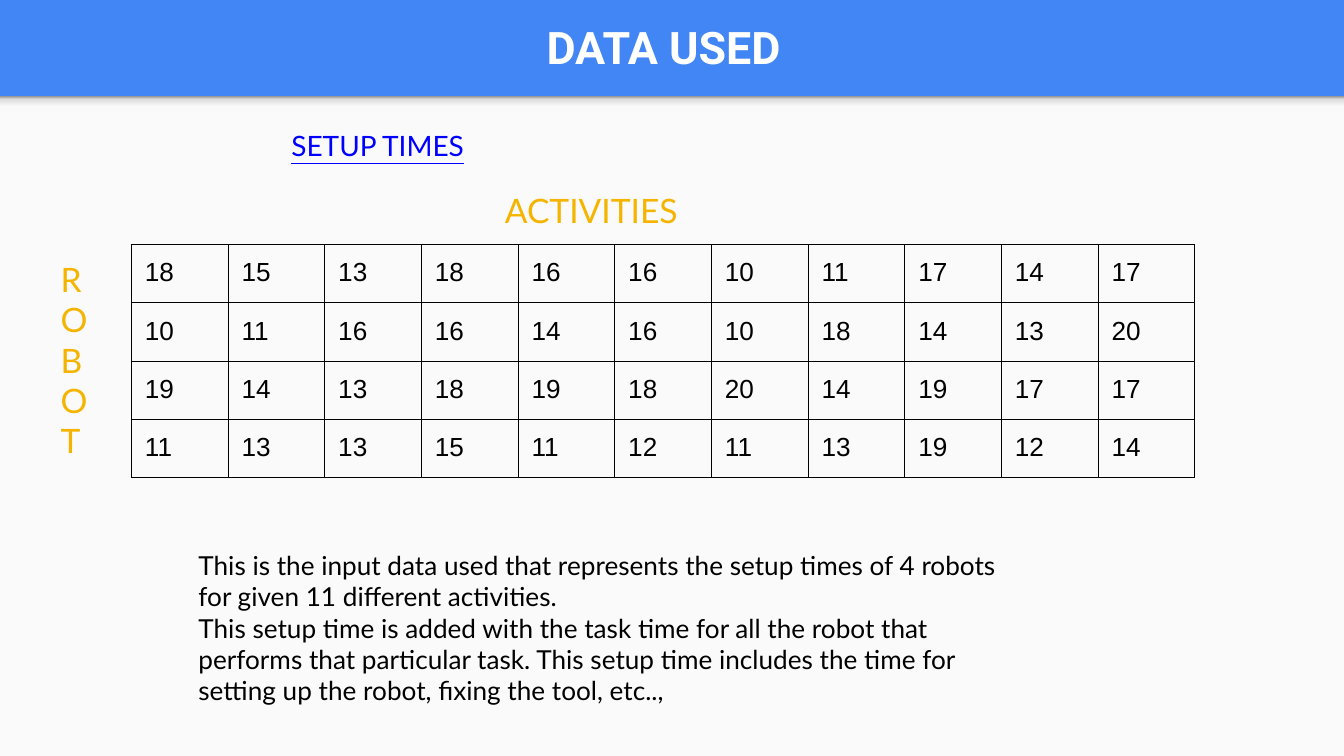
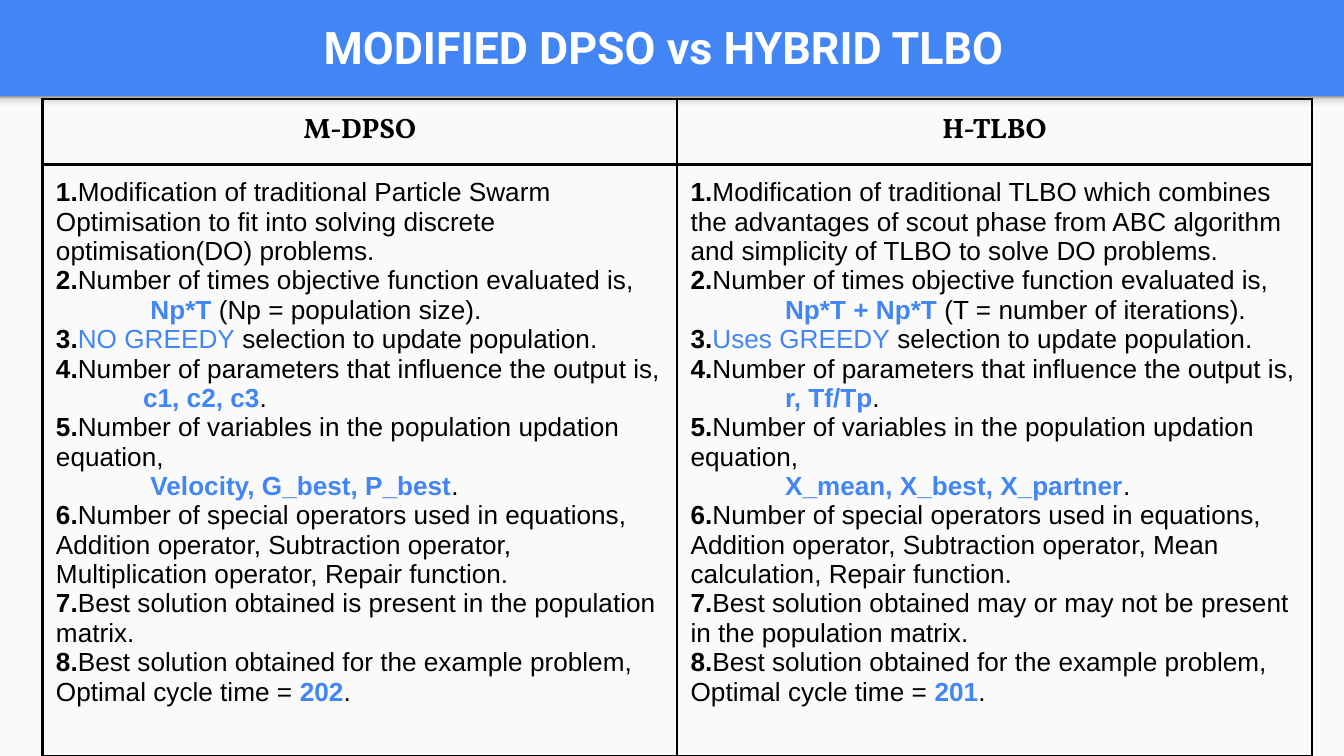
from dataclasses import dataclass

from lxml.etree import SubElement
from pptx import Presentation
from pptx.dml.color import RGBColor
from pptx.enum.shapes import MSO_SHAPE
from pptx.enum.text import MSO_ANCHOR, PP_ALIGN
from pptx.oxml.ns import qn
from pptx.util import Pt


@dataclass(frozen=True)
class Theme:
    blue: str = "4285F4"
    panel: str = "FAFAFA"
    black: str = "000000"
    white: str = "FFFFFF"
    link: str = "0000FF"
    amber: str = "F4B400"
    shade: tuple = ((0, "F9F9F9"), (36, "F9F9F9"), (80, "DEDEDE"), (100, "999999"))
    title_font: str = "Roboto"
    text_font: str = "Lato"
    table_font: str = "Arial"
    heading_font: str = "Vollkorn"
    title_size: int = 24
    label_size: int = 18
    heading_size: int = 15
    body_size: int = 14
    inset: float = 7.2


@dataclass(frozen=True)
class Method:
    name: str
    origin: str
    evaluations: str
    evaluations_note: str
    greedy: str
    parameters: str
    parameters_indent: float
    variables: str
    operators: str
    best_solution: str
    cycle_time: str


THEME = Theme()
WIDTH, HEIGHT, HEADER_HEIGHT = 720, 405, 51.6
INDENT = 50.6

SETUP_TIMES = [
    [18, 15, 13, 18, 16, 16, 10, 11, 17, 14, 17],
    [10, 11, 16, 16, 14, 16, 10, 18, 14, 13, 20],
    [19, 14, 13, 18, 19, 18, 20, 14, 19, 17, 17],
    [11, 13, 13, 15, 11, 12, 11, 13, 19, 12, 14],
]
EXPLANATION = [
    "This is the input data used that represents the setup times of 4 robots "
    "for given 11 different activities.",
    "This setup time is added with the task time for all the robot that performs "
    "that particular task. This setup time includes the time for setting up the "
    "robot, fixing the tool, etc..,",
]
METHODS = [
    Method(
        name="M-DPSO",
        origin="Modification of traditional Particle Swarm Optimisation to fit "
               "into solving discrete optimisation(DO) problems.",
        evaluations="Np*T",
        evaluations_note=" (Np = population size).",
        greedy="NO GREEDY",
        parameters="c1, c2, c3",
        parameters_indent=46.7,
        variables="Velocity, G_best, P_best",
        operators="Addition operator, Subtraction operator, "
                  "Multiplication operator, Repair function.",
        best_solution="Best solution obtained is present in the population matrix.",
        cycle_time="202",
    ),
    Method(
        name="H-TLBO",
        origin="Modification of traditional TLBO which combines the advantages of "
               "scout phase from ABC algorithm and simplicity of TLBO to solve DO "
               "problems.",
        evaluations="Np*T + Np*T",
        evaluations_note=" (T = number of iterations).",
        greedy="Uses GREEDY",
        parameters="r, Tf/Tp",
        parameters_indent=INDENT,
        variables="X_mean, X_best, X_partner",
        operators="Addition operator, Subtraction operator, "
                  "Mean calculation, Repair function.",
        best_solution="Best solution obtained may or may not be present in the "
                      "population matrix.",
        cycle_time="201",
    ),
]


def color(value):
    return RGBColor.from_string(value)


def write_paragraph(paragraph, runs, *, font, size, fill=THEME.black, bold=False,
                    underline=False, align=PP_ALIGN.LEFT, indent=0):
    """Runs are a string, or pairs of text and a dict with its own fill or bold."""
    paragraph.alignment = align
    if indent:
        properties = paragraph._p.get_or_add_pPr()
        properties.set("marL", str(Pt(indent)))
        properties.set("indent", "0")
    if isinstance(runs, str):
        runs = [(runs, {})]
    for text, own in runs:
        run = paragraph.add_run()
        run.text = text
        run.font.name = font
        run.font.size = Pt(size)
        run.font.bold = own.get("bold", bold)
        run.font.underline = underline
        run.font.color.rgb = color(own.get("fill", fill))


def set_insets(holder):
    for side in ("left", "top", "right", "bottom"):
        setattr(holder, f"margin_{side}", Pt(THEME.inset))


def add_text(slide, box, paragraphs, *, anchor=MSO_ANCHOR.TOP, **text_format):
    frame = slide.shapes.add_textbox(*map(Pt, box)).text_frame
    frame.word_wrap = True
    frame.vertical_anchor = anchor
    set_insets(frame)
    for index, runs in enumerate(paragraphs):
        paragraph = frame.add_paragraph() if index else frame.paragraphs[0]
        write_paragraph(paragraph, runs, **text_format)


def add_rectangle(slide, box):
    shape = slide.shapes.add_shape(MSO_SHAPE.RECTANGLE, *map(Pt, box))
    shape.shadow.inherit = False
    shape.line.fill.background()
    return shape


def shade_upwards(shape, stops):
    shape.fill.gradient()
    shape.fill.gradient_angle = 90
    stop_list = shape._element.spPr.find(".//" + qn("a:gsLst"))
    for stop in list(stop_list):
        stop_list.remove(stop)
    for percent, value in stops:
        stop = SubElement(stop_list, qn("a:gs"), pos=str(percent * 1000))
        SubElement(stop, qn("a:srgbClr"), val=value)


def add_titled_slide(presentation, title):
    slide = presentation.slides.add_slide(presentation.slide_layouts[6])
    slide.background.fill.solid()
    slide.background.fill.fore_color.rgb = color(THEME.blue)
    panel = add_rectangle(slide, (0, HEADER_HEIGHT, WIDTH, HEIGHT - HEADER_HEIGHT))
    panel.fill.solid()
    panel.fill.fore_color.rgb = color(THEME.panel)
    shade_upwards(add_rectangle(slide, (0, HEADER_HEIGHT, WIDTH, 8.6)), THEME.shade)
    add_text(slide, (8, 1.4, 695, 47.5), [title], anchor=MSO_ANCHOR.MIDDLE,
             font=THEME.title_font, size=THEME.title_size, fill=THEME.white,
             bold=True, align=PP_ALIGN.CENTER)
    return slide


def set_borders(cell, width):
    properties = cell._tc.get_or_add_tcPr()
    for index, name in enumerate(("a:lnL", "a:lnR", "a:lnT", "a:lnB")):
        line = properties.makeelement(qn(name), {"w": str(Pt(width))})
        fill = SubElement(line, qn("a:solidFill"))
        SubElement(fill, qn("a:srgbClr"), val=THEME.black)
        properties.insert(index, line)


def add_grid(slide, left, top, column_width, row_heights, column_count, border):
    """Add an unfilled table with equal columns and a black grid."""
    graphic_frame = slide.shapes.add_table(
        len(row_heights), column_count, Pt(left), Pt(top),
        Pt(column_width * column_count), Pt(sum(row_heights)))
    table = graphic_frame.table
    table.first_row = False
    table.horz_banding = False
    for column in table.columns:
        column.width = Pt(column_width)
    for row, height in zip(table.rows, row_heights):
        row.height = Pt(height)
    # A low frame leaves the height to the rows, so the last one is not stretched.
    graphic_frame.height = Pt(row_heights[0])
    for cell in table.iter_cells():
        set_insets(cell)
        cell.fill.background()
        set_borders(cell, border)
    return table


def add_setup_times(slide, left, top):
    """Place the table of times with its axis labels around it."""
    label = dict(font=THEME.text_font, size=THEME.label_size, fill=THEME.amber)
    table = add_grid(slide, left, top, 51.8, [30.5] * len(SETUP_TIMES),
                     len(SETUP_TIMES[0]), border=0.75)
    for row, times in enumerate(SETUP_TIMES):
        for column, time in enumerate(times):
            write_paragraph(table.cell(row, column).text_frame.paragraphs[0],
                            str(time), font=THEME.table_font, size=THEME.body_size)
    add_text(slide, (left + 193, top - 36.7, 121, 36), ["ACTIVITIES"], **label)
    add_text(slide, (left - 45, top + 0.5, 26.6, 124), list("ROBOT"), **label)


def build_data_slide(presentation):
    slide = add_titled_slide(presentation, "DATA USED")
    add_text(slide, (0, 61.7, 404.8, 32.4), ["SETUP TIMES"], font=THEME.text_font,
             size=THEME.heading_size, fill=THEME.link, underline=True,
             align=PP_ALIGN.CENTER)
    add_setup_times(slide, 70.4, 131)
    add_text(slide, (99.2, 287, 450, 99.4), EXPLANATION,
             font=THEME.text_font, size=THEME.body_size)


def comparison_points(method):
    """Return the lines on one method as pairs of runs and indent."""
    key = dict(fill=THEME.blue, bold=True)

    def point(number, *runs):
        return [(f"{number}.", dict(bold=True)), *runs], 0

    def answer(value, rest=".", indent=INDENT):
        return [(value, key), (rest, {})], indent

    return [
        point(1, (method.origin, {})),
        point(2, ("Number of times objective function evaluated is,", {})),
        answer(method.evaluations, method.evaluations_note),
        point(3, (method.greedy, dict(fill=THEME.blue)),
              (" selection to update population.", {})),
        point(4, ("Number of parameters that influence the output is,", {})),
        answer(method.parameters, indent=method.parameters_indent),
        point(5, ("Number of variables in the population updation equation,", {})),
        answer(method.variables),
        point(6, ("Number of special operators used in equations,", {})),
        (method.operators, 0),
        point(7, (method.best_solution, {})),
        point(8, ("Best solution obtained for the example problem,", {})),
        ([("Optimal cycle time = ", {}), (method.cycle_time, key), (".", {})], 0),
    ]


def build_comparison_slide(presentation):
    slide = add_titled_slide(presentation, "MODIFIED DPSO vs HYBRID TLBO")
    table = add_grid(slide, 22.8, 52.9, 340, [35.3, 297], len(METHODS), border=1.5)
    for column, method in enumerate(METHODS):
        write_paragraph(table.cell(0, column).text_frame.paragraphs[0], method.name,
                        font=THEME.heading_font, size=THEME.heading_size,
                        bold=True, align=PP_ALIGN.CENTER)
        frame = table.cell(1, column).text_frame
        for index, (runs, indent) in enumerate(comparison_points(method)):
            paragraph = frame.add_paragraph() if index else frame.paragraphs[0]
            write_paragraph(paragraph, runs, font=THEME.table_font,
                            size=THEME.body_size, indent=indent)


def main():
    presentation = Presentation()
    presentation.slide_width = Pt(WIDTH)
    presentation.slide_height = Pt(HEIGHT)
    build_data_slide(presentation)
    build_comparison_slide(presentation)
    presentation.save("out.pptx")


if __name__ == "__main__":
    main()
